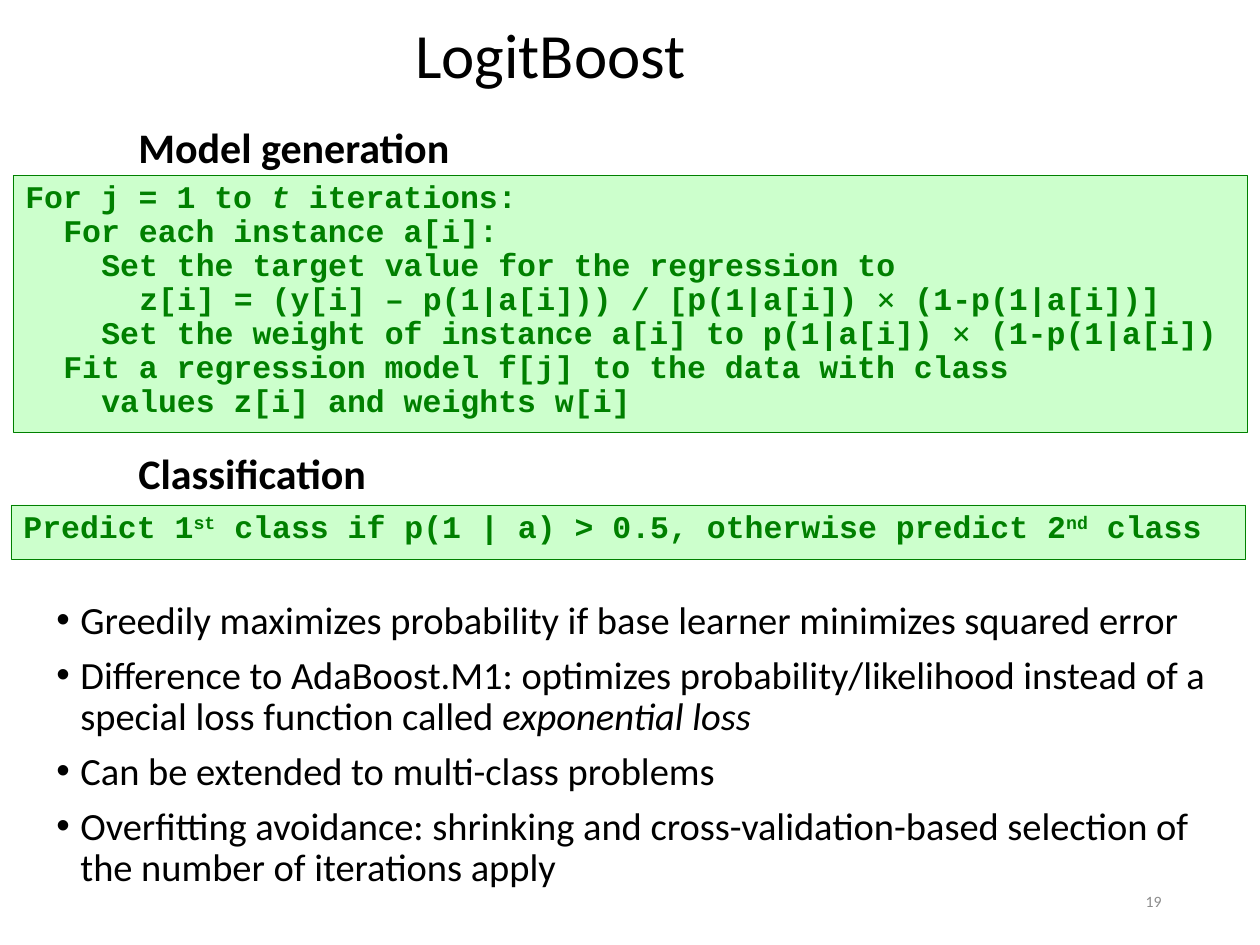
from lxml import etree
from pptx import Presentation, util as u
from pptx.dml.color import RGBColor
from pptx.enum import shapes, text
from pptx.oxml import ns

PX = 914400 / 126
BLACK = RGBColor(0x00, 0x00, 0x00)
GREEN = RGBColor(0x00, 0x80, 0x00)
PALE_GREEN = RGBColor(0xCC, 0xFF, 0xCC)
GREY = RGBColor(0x8C, 0x8C, 0x8C)

TITLE = {"name": "Calibri", "size": u.Pt(36), "color": BLACK}
HEADING = {"name": "Calibri", "size": u.Pt(24), "color": BLACK, "bold": True}
BODY = {"name": "Calibri", "size": u.Pt(22), "color": BLACK}
CODE = {"name": "Courier New", "size": u.Pt(18), "color": GREEN, "bold": True}
NUMBER = {"name": "Calibri", "size": u.Pt(9), "color": GREY}
ITALIC = {"italic": True}
RAISED = {"baseline": 30000}
TIMES = ("× ", {"name": "DejaVu Sans Mono", "bold": False})

CODE_INDENT = 38
BULLET_INDENT = 24

ALGORITHM = [
    (0, ["For j = 1 to ", ("t", ITALIC), " iterations:"]),
    (1, ["For each instance a[i]:"]),
    (2, ["Set the target value for the regression to"]),
    (3, ["z[i] = (y[i] – p(1|a[i])) / [p(1|a[i]) ", TIMES, "(1-p(1|a[i])]"]),
    (2, ["Set the weight of instance a[i] to p(1|a[i]) ", TIMES, "(1-p(1|a[i])"]),
    (1, ["Fit a regression model f[j] to the data with class"]),
    (2, ["values z[i] and weights w[i]"]),
]
PREDICTION = [
    (0, ["Predict 1", ("st", RAISED), " class if p(1 | a) > 0.5, otherwise predict 2",
         ("nd", RAISED), " class"]),
]
REMARKS = [
    ["Greedily maximizes probability if base learner minimizes squared error"],
    ["Difference to AdaBoost.M1: optimizes probability/likelihood instead of a "
     "special loss function called ", ("exponential loss", ITALIC)],
    ["Can be extended to multi-class problems"],
    ["Overfitting avoidance: shrinking and cross-validation-based selection of "
     "the number of iterations apply"],
]


def px(length):
    """Turn a length in px into EMU."""
    return u.Emu(round(length * PX))


def scaled(box):
    """Turn a box in px into EMU."""
    return [px(length) for length in box]


def write_paragraph(paragraph, runs, style, **settings):
    """Fill a paragraph with runs, each a string or a string with its own format."""
    for key, value in settings.items():
        setattr(paragraph, key, value)
    for item in runs:
        words, changes = (item, {}) if isinstance(item, str) else item
        run = paragraph.add_run()
        run.text = words
        for key, value in {**style, **changes}.items():
            if key == "color":
                run.font.color.rgb = value
            elif key == "baseline":
                run._r.get_or_add_rPr().set("baseline", str(value))
            else:
                setattr(run.font, key, value)


def next_paragraph(frame, index):
    """Return the first paragraph of a frame, or a new one after it."""
    return frame.add_paragraph() if index else frame.paragraphs[0]


def indent(paragraph, margin, hanging=0):
    """Set the left margin and hanging indent of a paragraph in px."""
    properties = paragraph._p.get_or_add_pPr()
    properties.set("marL", str(px(margin)))
    properties.set("indent", str(-px(hanging)))
    return properties


def add_frame(slide, box, anchor=text.MSO_ANCHOR.TOP):
    """Add a wrapping text box and return its text frame."""
    frame = slide.shapes.add_textbox(*scaled(box)).text_frame
    frame.word_wrap = True
    frame.vertical_anchor = anchor
    return frame


def place_title(slide, box, words):
    """Move the title placeholder into the box and fill it."""
    title = slide.shapes.title
    title.left, title.top, title.width, title.height = scaled(box)
    frame = title.text_frame
    frame.auto_size = text.MSO_AUTO_SIZE.NONE
    frame.vertical_anchor = text.MSO_ANCHOR.MIDDLE
    write_paragraph(frame.paragraphs[0], [words], TITLE,
                    alignment=text.PP_ALIGN.CENTER, line_spacing=0.9)


def add_heading(slide, box, words):
    """Add a bold section heading."""
    frame = add_frame(slide, box)
    write_paragraph(frame.paragraphs[0], [words], HEADING, space_before=u.Pt(6))


def add_code(slide, box, lines):
    """Add a green panel with indented lines of pseudocode."""
    panel = slide.shapes.add_shape(shapes.MSO_SHAPE.RECTANGLE, *scaled(box))
    panel.shadow.inherit = False
    panel.fill.solid()
    panel.fill.fore_color.rgb = PALE_GREEN
    panel.line.color.rgb = GREEN
    panel.line.width = u.Pt(0.5)
    frame = panel.text_frame
    frame.word_wrap = True
    frame.vertical_anchor = text.MSO_ANCHOR.TOP
    for index, (level, runs) in enumerate(lines):
        paragraph = next_paragraph(frame, index)
        indent(paragraph, level * CODE_INDENT)
        write_paragraph(paragraph, runs, CODE,
                        alignment=text.PP_ALIGN.LEFT, line_spacing=0.9)


def add_bullets(slide, box, items):
    """Add a bulleted list."""
    frame = add_frame(slide, box)
    for index, runs in enumerate(items):
        paragraph = next_paragraph(frame, index)
        write_paragraph(paragraph, runs, BODY, line_spacing=0.9, space_before=u.Pt(7.5))
        properties = indent(paragraph, BULLET_INDENT, BULLET_INDENT)
        etree.SubElement(properties, ns.qn("a:buFont")).set("typeface", "Arial")
        etree.SubElement(properties, ns.qn("a:buChar")).set("char", "•")


def add_number(slide, box, number):
    """Add the slide number, aligned right."""
    frame = add_frame(slide, box, text.MSO_ANCHOR.MIDDLE)
    write_paragraph(frame.paragraphs[0], [number], NUMBER, alignment=text.PP_ALIGN.RIGHT)


def main():
    """Build and save the presentation."""
    presentation = Presentation()
    presentation.slide_width, presentation.slide_height = px(1260), px(945)
    slide = presentation.slides.add_slide(presentation.slide_layouts[5])
    place_title(slide, (76, -21, 949, 158), "LogitBoost")
    add_bullets(slide, (44, 595, 1216, 305), REMARKS)
    add_code(slide, (13, 175, 1235, 257), ALGORITHM)
    add_heading(slide, (126, 115, 998, 74), "Model generation")
    add_heading(slide, (126, 441, 998, 74), "Classification")
    add_code(slide, (11, 505, 1235, 54), PREDICTION)
    add_number(slide, (890, 876, 284, 50), "19")
    presentation.save("out.pptx")


if __name__ == "__main__":
    main()
